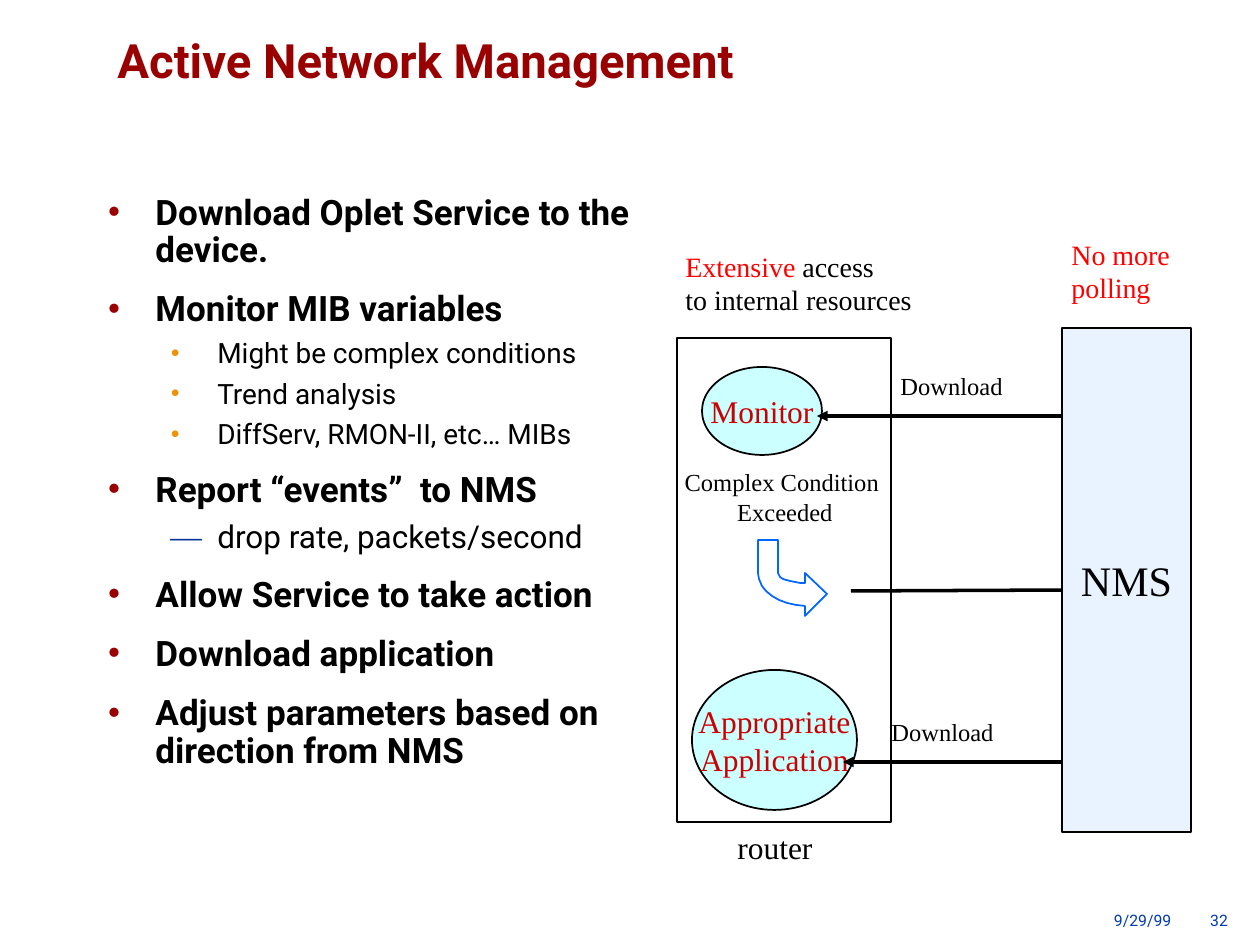
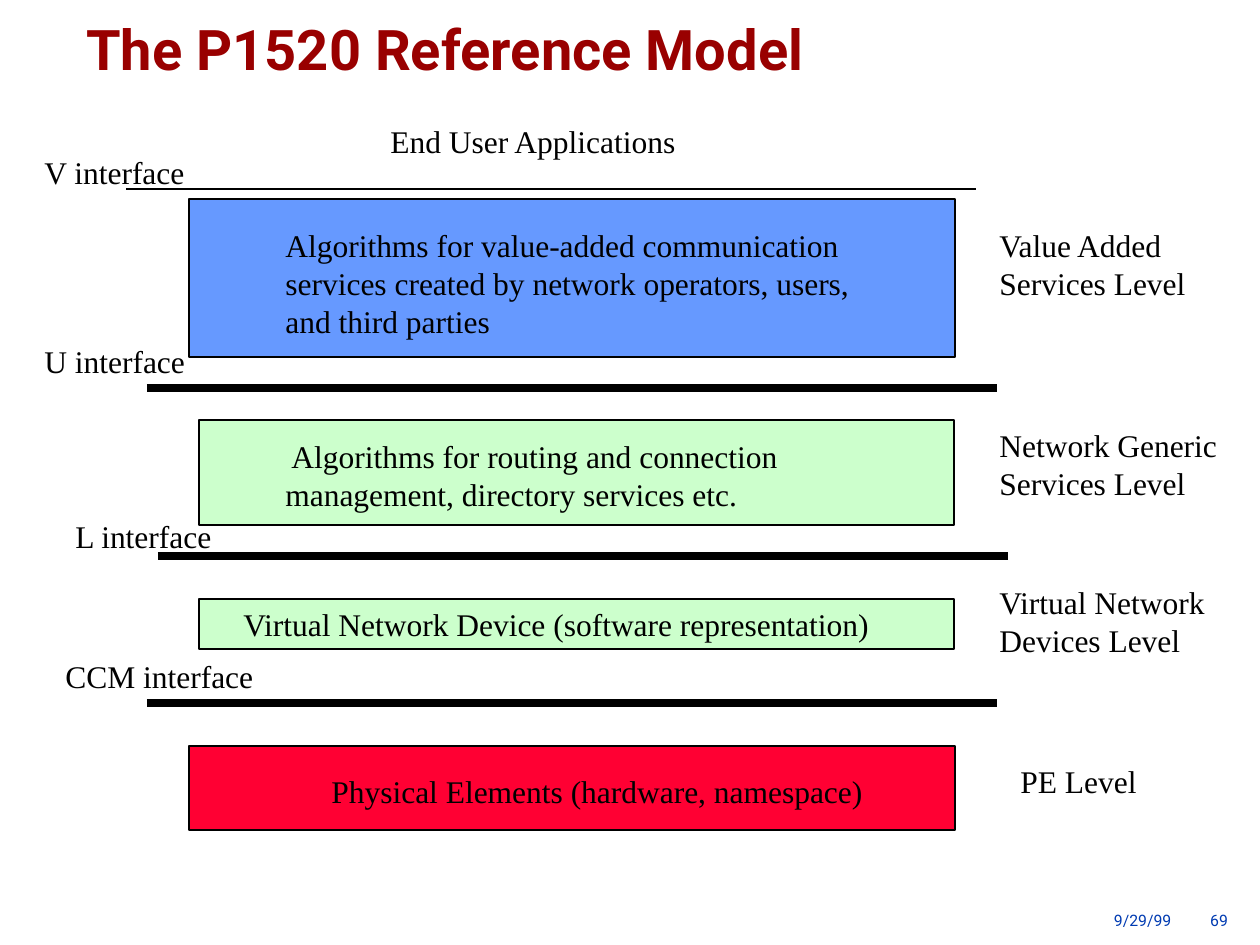
from math import cos, pi, sin

from lxml import etree
from pptx import Presentation
from pptx.dml.color import RGBColor
from pptx.enum.shapes import MSO_CONNECTOR, MSO_SHAPE
from pptx.enum.text import MSO_ANCHOR, PP_ALIGN
from pptx.oxml.ns import qn
from pptx.util import Pt

PX = 914400 / 126
RECTANGLE, ELLIPSE = MSO_SHAPE.RECTANGLE, MSO_SHAPE.OVAL
STRAIGHT = MSO_CONNECTOR.STRAIGHT
LEFT, CENTER = PP_ALIGN.LEFT, PP_ALIGN.CENTER
TOP, MIDDLE = MSO_ANCHOR.TOP, MSO_ANCHOR.MIDDLE
SANS, SERIF = "Roboto", "Times New Roman"

BLACK = RGBColor(0x00, 0x00, 0x00)
WHITE = RGBColor(0xFF, 0xFF, 0xFF)
DARK_RED = RGBColor(0x99, 0x00, 0x00)
NODE_RED = RGBColor(0xCC, 0x00, 0x00)
RED = RGBColor(0xFF, 0x00, 0x00)
ORANGE = RGBColor(0xEF, 0x91, 0x00)
DASH_BLUE = RGBColor(0x00, 0x33, 0x99)
FOOTER_BLUE = RGBColor(0x00, 0x3B, 0xB2)
ARROW_BLUE = RGBColor(0x00, 0x66, 0xFF)
PALE_BLUE = RGBColor(0xE9, 0xF2, 0xFF)
CYAN = RGBColor(0xCC, 0xFF, 0xFF)
SERVICE_BLUE = RGBColor(0x66, 0x99, 0xFF)
GREEN = RGBColor(0xCC, 0xFF, 0xCC)
ELEMENT_RED = RGBColor(0xFF, 0x00, 0x33)

DATE = "9/29/99"

BULLET_STYLES = {
    "main": dict(level=0, indent=48, hang=48, before=12.5, mark="•",
                 color=DARK_RED, percent=110, size=20, bold=True),
    "detail": dict(level=1, indent=110, hang=47, before=6, mark="•",
                   color=ORANGE, percent=100, size=16, bold=False),
    "dash": dict(level=1, indent=110, hang=47, before=6.8, mark="—",
                 color=DASH_BLUE, percent=100, size=18, bold=False),
}
BULLETS = [
    ("main", "Download Oplet Service to the device."),
    ("main", "Monitor MIB variables"),
    ("detail", "Might be complex conditions"),
    ("detail", "Trend analysis"),
    ("detail", "DiffServ, RMON-II, etc… MIBs"),
    ("main", "Report “events”  to NMS"),
    ("dash", "drop rate, packets/second"),
    ("main", "Allow Service to take action"),
    ("main", "Download application"),
    ("main", "Adjust parameters based on direction from NMS"),
]

ROUTER = (677, 338, 214, 484)
NMS = (1062, 328, 129, 504)
SERVICES = [
    ((702, 367, 120, 88), ["Monitor"]),
    ((692, 670, 165, 140), ["Appropriate", "Application"]),
]
MESSAGES = [
    ((1070, 416), (817, 416)),
    ((1095, 762), (843, 762)),
    ((851, 591), (1075, 590)),
]
MESSAGE_LABELS = [
    ((880, 365, 143, 42), ["Download"]),
    ((871, 711, 143, 42), ["Download"]),
    ((664, 461, 242, 71), ["Complex Condition ", "Exceeded"]),
]
DIAGRAM_CAPTIONS = [
    ((1059, 231, 146, 81), [[("No more", RED)], [("polling", RED)]], 16),
    ((725, 822, 116, 50), ["router"], 18),
    ((673, 243, 275, 81),
     [[("Extensive", RED), (" access", BLACK)], "to internal resources"], 16),
]

LEVELS = [
    ((189, 199, 766, 158), SERVICE_BLUE, (273, 220, 599, 126),
     "Algorithms for value-added communication services created by network "
     "operators, users, and third parties"),
    ((199, 420, 755, 105), GREEN, (273, 431, 651, 88),
     " Algorithms for routing and connection management, directory services etc."),
    ((199, 599, 755, 50), GREEN, (231, 599, 680, 50),
     "Virtual Network Device (software representation)"),
    ((189, 746, 766, 84), ELEMENT_RED, (319, 766, 580, 50),
     "Physical Elements (hardware, namespace)"),
]
MODEL_LABELS = [
    ((378, 116, 473, 50), "End User Applications"),
    ((32, 147, 199, 50), "V interface"),
    ((32, 336, 199, 50), "U interface"),
    ((63, 511, 199, 50), "L interface"),
    ((53, 651, 240, 50), "CCM interface"),
    ((987, 220, 273, 88), "Value Added Services Level"),
    ((987, 420, 273, 88), "Network Generic Services Level"),
    ((987, 577, 273, 88), "Virtual Network Devices Level"),
    ((1008, 756, 179, 50), "PE Level"),
]
INTERFACE_LENGTH = 850
INTERFACES = [(126, 189, 1), (147, 388, 4.5), (158, 556, 4.5), (147, 703, 4.5)]


def emu(*lengths):
    return [round(length * PX) for length in lengths]


def format_runs(paragraph, size, color, font=SERIF, bold=False):
    for run in paragraph.runs:
        run.font.name = font
        run.font.size = Pt(size)
        run.font.bold = bold
        run.font.color.rgb = color


def write(shape, lines, size, color=BLACK, font=SERIF, bold=False,
          align=LEFT, anchor=TOP, wrap=True):
    frame = shape.text_frame
    frame.word_wrap = wrap
    frame.vertical_anchor = anchor
    for number, line in enumerate(lines):
        paragraph = frame.paragraphs[0] if number == 0 else frame.add_paragraph()
        paragraph.alignment = align
        parts = [(line, color)] if isinstance(line, str) else line
        for text, _ in parts:
            paragraph.add_run().text = text
        format_runs(paragraph, size, color, font, bold)
        for run, (_, part_color) in zip(paragraph.runs, parts):
            run.font.color.rgb = part_color


def add_text(slide, box, lines, size, **style):
    shape = slide.shapes.add_textbox(*emu(*box))
    write(shape, lines, size, **style)
    return shape


def paint(shape, fill, line=BLACK):
    shape.shadow.inherit = False
    if fill is None:
        shape.fill.background()
    else:
        shape.fill.solid()
        shape.fill.fore_color.rgb = fill
    shape.line.color.rgb = line
    shape.line.width = Pt(1)
    return shape


def add_shape(slide, kind, box, fill=None):
    return paint(slide.shapes.add_shape(kind, *emu(*box)), fill)


def add_line(slide, start, end, width, arrow=False):
    line = slide.shapes.add_connector(STRAIGHT, *emu(*start, *end))
    line.line.color.rgb = BLACK
    line.line.width = Pt(width)
    if arrow:
        etree.SubElement(line.line._get_or_add_ln(), qn("a:tailEnd"), type="triangle")
    etree.SubElement(line._element.spPr, qn("a:effectLst"))


def add_bullets(slide, box, bullets):
    frame = slide.shapes.add_textbox(*emu(*box)).text_frame
    frame.word_wrap = True
    for number, (kind, text) in enumerate(bullets):
        style = BULLET_STYLES[kind]
        paragraph = frame.paragraphs[0] if number == 0 else frame.add_paragraph()
        paragraph.text = text
        paragraph.level = style["level"]
        paragraph.line_spacing = 0.89
        if number:
            paragraph.space_before = Pt(style["before"])
        indent, hang = emu(style["indent"], style["hang"])
        properties = paragraph._p.get_or_add_pPr()
        properties.set("marL", str(indent))
        properties.set("indent", str(-hang))
        color = etree.SubElement(properties, qn("a:buClr"))
        etree.SubElement(color, qn("a:srgbClr"), val=str(style["color"]))
        etree.SubElement(properties, qn("a:buSzPct"), val=str(style["percent"] * 1000))
        etree.SubElement(properties, qn("a:buFont"), typeface=SERIF)
        etree.SubElement(properties, qn("a:buChar"), char=style["mark"])
        format_runs(paragraph, style["size"], BLACK, SANS, style["bold"])


def add_curved_arrow(slide):
    center_x, center_y = 805, 573
    angles = [step * pi / 16 for step in range(9)]

    def arc(radius_x, radius_y):
        return [(center_x - radius_x * sin(angle), center_y + radius_y * cos(angle))
                for angle in angles]

    outline = [(805, 616), *arc(47, 33), (758, 540), (778, 540),
               *reversed(arc(27, 10)), (center_x, center_y)]
    builder = slide.shapes.build_freeform(827, 594, scale=PX)
    builder.add_line_segments(outline, close=True)
    paint(builder.convert_to_shape(), WHITE, ARROW_BLUE)


def add_slide(presentation, title, box, size, number, anchor=TOP):
    slide = presentation.slides.add_slide(presentation.slide_layouts[6])
    heading = add_text(slide, box, [title], size, color=DARK_RED, font=SANS,
                       bold=True, anchor=anchor)
    heading.text_frame.paragraphs[0].line_spacing = 0.9
    footer = slide.shapes.add_textbox(*emu(1103, 911, 150, 21))
    frame = footer.text_frame
    frame.margin_left = frame.margin_right = emu(11)[0]
    frame.margin_top = frame.margin_bottom = 0
    frame.word_wrap = True
    paragraph = frame.paragraphs[0]
    tabs = etree.SubElement(paragraph._p.get_or_add_pPr(), qn("a:tabLst"))
    etree.SubElement(tabs, qn("a:tab"), pos=str(emu(114)[0]), algn="r")
    paragraph.text = f"{DATE}\t{number}"
    format_runs(paragraph, 9, FOOTER_BLUE, SANS)
    return slide


def build_management(presentation):
    slide = add_slide(presentation, "Active Network Management",
                      (105, 31, 1071, 147), 27, 32)
    add_bullets(slide, (95, 189, 575, 672), BULLETS)
    add_shape(slide, RECTANGLE, ROUTER)
    for box, lines in SERVICES:
        service = add_shape(slide, ELLIPSE, box, CYAN)
        write(service, lines, 18, color=NODE_RED, align=CENTER, anchor=MIDDLE, wrap=False)
    for start, end in MESSAGES:
        add_line(slide, start, end, 2, arrow=True)
    for box, lines in MESSAGE_LABELS:
        add_text(slide, box, lines, 14, align=CENTER)
    station = add_shape(slide, RECTANGLE, NMS, PALE_BLUE)
    write(station, ["NMS"], 24, align=CENTER, anchor=MIDDLE, wrap=False)
    add_curved_arrow(slide)
    for box, lines, size in DIAGRAM_CAPTIONS:
        add_text(slide, box, lines, size)


def build_reference_model(presentation):
    slide = add_slide(presentation, "The P1520 Reference Model",
                      (74, 10, 1071, 84), 32, 69, MIDDLE)
    for box, fill, text_box, text in LEVELS:
        add_shape(slide, RECTANGLE, box, fill)
        add_text(slide, text_box, [text], 18)
    for left, top, width in INTERFACES:
        add_line(slide, (left, top), (left + INTERFACE_LENGTH, top), width)
    for box, text in MODEL_LABELS:
        add_text(slide, box, [text], 18)


def main():
    presentation = Presentation()
    presentation.slide_width, presentation.slide_height = emu(1260, 945)
    build_management(presentation)
    build_reference_model(presentation)
    presentation.save("out.pptx")


if __name__ == "__main__":
    main()
